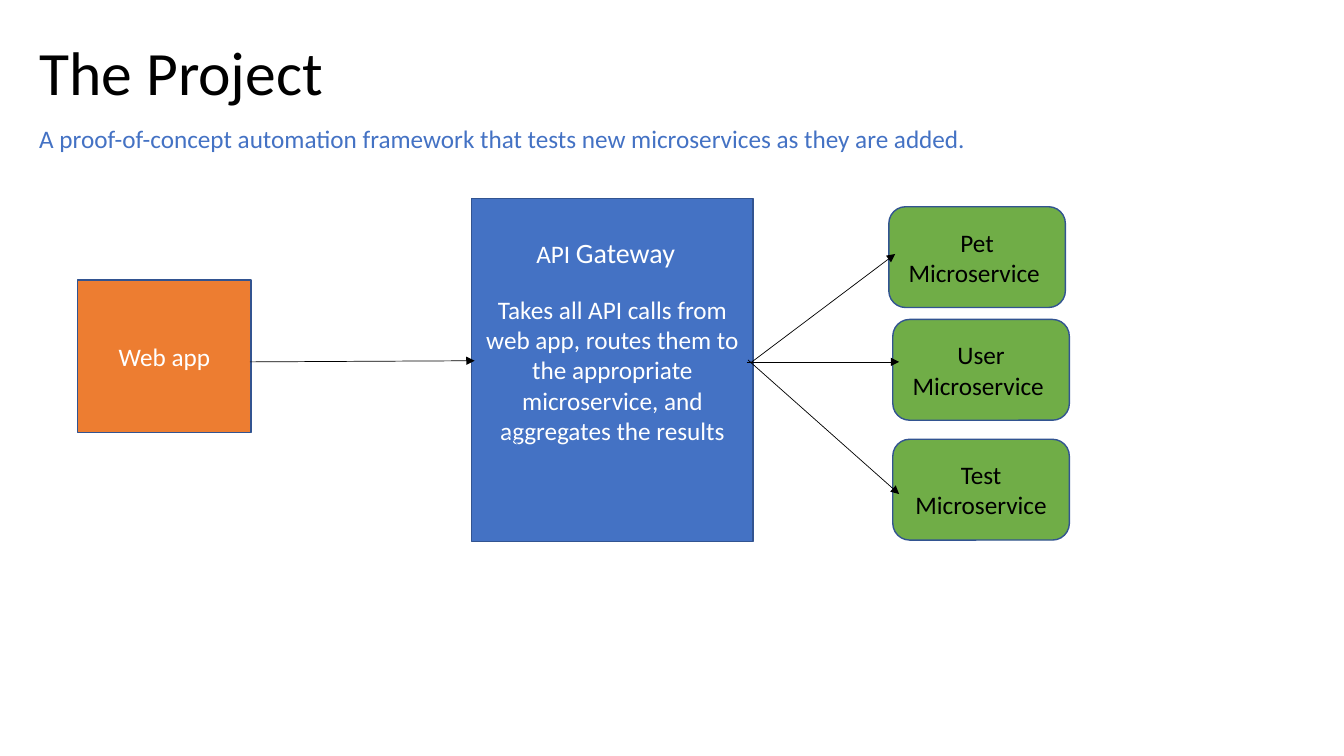
from lxml import etree
from pptx import Presentation
from pptx.dml.color import RGBColor
from pptx.enum.shapes import MSO_CONNECTOR as Connector, MSO_SHAPE as Shape
from pptx.enum.text import MSO_ANCHOR as Anchor, PP_ALIGN as Align
from pptx.oxml.ns import qn
from pptx.util import Cm, Pt

FONT = "Calibri"
BLACK, WHITE = "000000", "FFFFFF"
BLUE, OUTLINE, GREEN, ORANGE = "4472C4", "325491", "70AD47", "ED7D31"

TITLE = "The Project"
SUBTITLE = "A proof-of-concept automation framework that tests new microservices as they are added."
GATEWAY_LABEL = [("API ", 18), ("Gateway", 20)]
GATEWAY_TEXT = ("Takes all API calls from web app, routes them to the appropriate "
                "microservice, and aggregates the results")

# Boxes are left, top, width, height in centimetres.
TITLE_BOX = (0.74, 0.66, 32.39, 2.51)
SUBTITLE_BOX = (0.74, 3.07, 32.39, 1.12)
GATEWAY_BOX = (11.89, 5, 7.09, 8.64)
GATEWAY_LABEL_BOX = (12.93, 5.82, 4.67, 1.12)
WEB_APP_BOX = (1.96, 7.06, 4.37, 3.84)
SERVICE_SIZE = (4.45, 2.54)
SERVICES = [
    (["Pet", "Microservice "], (22.4, 5.21)),
    (["User", "Microservice "], (22.5, 8.05)),
    (["Test Microservice"], (22.5, 11.07)),
]
ARROWS = [
    ((12.8, 10.95), (15.34, 13.49), BLUE),
    ((6.3, 9.12), (11.96, 9.09), BLACK),
    ((18.82, 9.12), (22.66, 9.12), BLACK),
    ((18.92, 9.14), (22.56, 6.4), BLACK),
    ((18.85, 9.07), (22.66, 12.45), BLACK),
]


def rgb(value):
    """Turn a hex string into a colour."""
    return RGBColor.from_string(value)


def lengths(values):
    """Turn centimetre numbers into lengths."""
    return [Cm(value) for value in values]


def write(shape, paragraphs, size=18, color=BLACK, align=Align.CENTER,
          anchor=Anchor.MIDDLE, spacing=None):
    """Fill a shape with paragraphs, each a string or a list of (text, size) runs."""
    frame = shape.text_frame
    frame.word_wrap = True
    frame.vertical_anchor = anchor
    for index, content in enumerate(paragraphs):
        paragraph = frame.add_paragraph() if index else frame.paragraphs[0]
        paragraph.alignment = align
        paragraph.line_spacing = spacing
        runs = [(content, size)] if isinstance(content, str) else content
        for text, run_size in runs:
            run = paragraph.add_run()
            run.text = text
            run.font.name = FONT
            run.font.size = Pt(run_size)
            run.font.color.rgb = rgb(color)


def add_box(slide, kind, box, fill, paragraphs, color):
    """Draw a filled, outlined shape with centred text."""
    shape = slide.shapes.add_shape(kind, *lengths(box))
    shape.shadow.inherit = False
    shape.fill.solid()
    shape.fill.fore_color.rgb = rgb(fill)
    shape.line.color.rgb = rgb(OUTLINE)
    shape.line.width = Pt(1)
    write(shape, paragraphs, color=color)


def add_text(slide, box, paragraphs, **text_format):
    """Add a text box."""
    write(slide.shapes.add_textbox(*lengths(box)), paragraphs,
          anchor=Anchor.TOP, **text_format)


def add_arrow(slide, start, end, color):
    """Draw a thin line with a triangle at its end."""
    arrow = slide.shapes.add_connector(Connector.STRAIGHT, *lengths(start + end))
    arrow.line.color.rgb = rgb(color)
    arrow.line.width = Pt(0.5)
    etree.SubElement(arrow.line._get_or_add_ln(), qn("a:tailEnd"), type="triangle")
    etree.SubElement(arrow._element.spPr, qn("a:effectLst"))


def main():
    """Build the slide and save it."""
    presentation = Presentation()
    presentation.slide_width, presentation.slide_height = Cm(33.87), Cm(19.05)
    slide = presentation.slides.add_slide(presentation.slide_layouts[5])

    title = slide.shapes.title
    title.left, title.top, title.width, title.height = lengths(TITLE_BOX)
    write(title, [TITLE], size=44, align=Align.LEFT, spacing=0.9)
    add_text(slide, SUBTITLE_BOX, [SUBTITLE], color=BLUE, align=Align.LEFT, spacing=0.9)

    add_box(slide, Shape.RECTANGLE, GATEWAY_BOX, BLUE, [GATEWAY_TEXT], WHITE)
    add_text(slide, GATEWAY_LABEL_BOX, [GATEWAY_LABEL], color=WHITE)
    for lines, corner in SERVICES:
        add_box(slide, Shape.ROUNDED_RECTANGLE, corner + SERVICE_SIZE, GREEN, lines, BLACK)
    add_box(slide, Shape.RECTANGLE, WEB_APP_BOX, ORANGE, ["Web app"], WHITE)
    for start, end, color in ARROWS:
        add_arrow(slide, start, end, color)

    presentation.save("out.pptx")


main()
